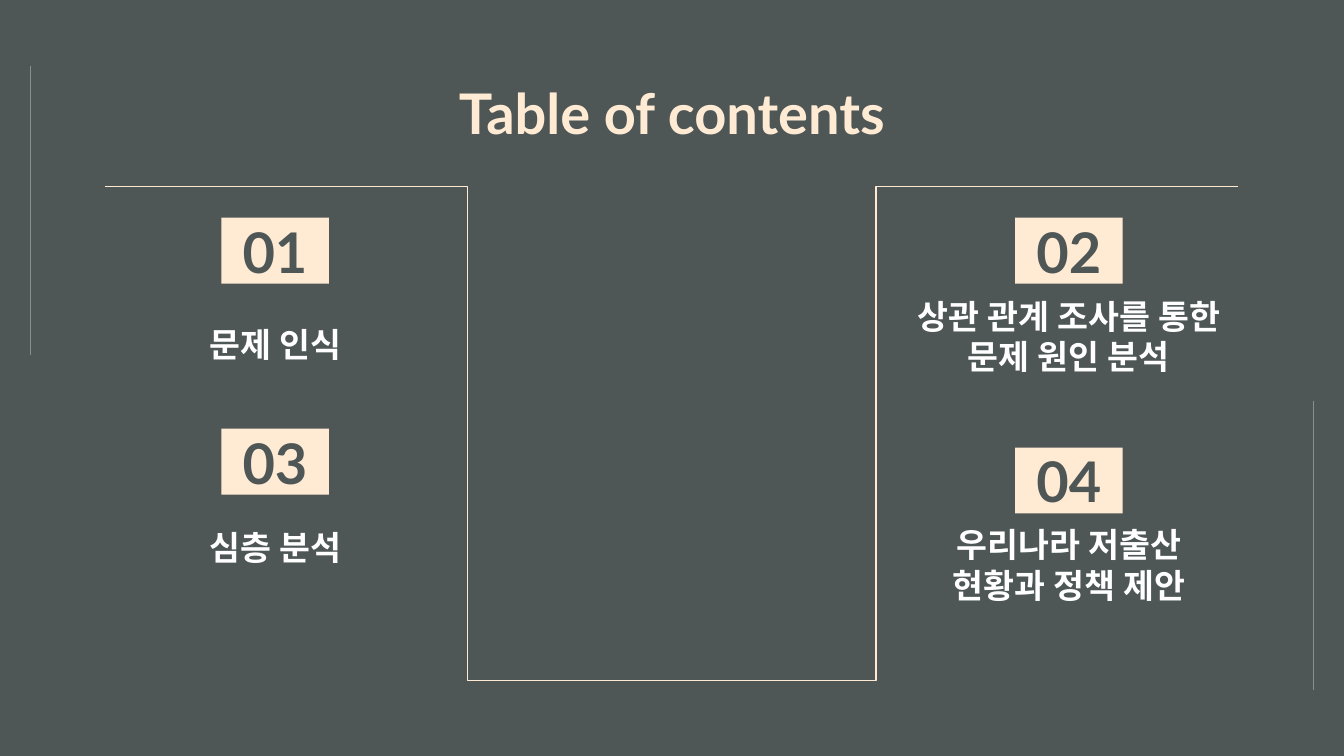
from lxml.etree import SubElement
from pptx import Presentation
from pptx.dml.color import RGBColor
from pptx.enum.shapes import MSO_CONNECTOR, MSO_SHAPE
from pptx.enum.text import MSO_ANCHOR, MSO_AUTO_SIZE, PP_ALIGN
from pptx.oxml.ns import qn
from pptx.util import Inches, Pt

CELL = Inches(0.1)
COLS, ROWS = 100, 56.25
FONT = "Lato"
SLATE = RGBColor(0x4E, 0x56, 0x56)
CREAM = RGBColor(0xFF, 0xEB, 0xD4)
SAGE = RGBColor(0x86, 0x91, 0x8E)
WHITE = RGBColor(0xFF, 0xFF, 0xFF)

LEFT, RIGHT = 7.87, 66.93
TOPICS = [
    ("01", "문제 인식", LEFT, 16.2, 23.1),
    ("02", "상관 관계 조사를 통한 문제 원인 분석", RIGHT, 16.2, 24),
    ("03", "심층 분석", LEFT, 31.9, 38.2),
    ("04", "우리나라 저출산 현황과 정책 제안", RIGHT, 33.3, 41),
]


def grid(*cells):
    """Turn grid cells into slide lengths."""
    return [round(cell * CELL) for cell in cells]


def write(shape, text, size=30, color=CREAM, anchor=MSO_ANCHOR.MIDDLE):
    """Put formatted, centred text in a shape."""
    frame = shape.text_frame
    frame.word_wrap = True
    frame.auto_size = MSO_AUTO_SIZE.NONE
    frame.vertical_anchor = anchor
    frame.margin_left = frame.margin_right = CELL
    frame.margin_top = frame.margin_bottom = CELL
    par = frame.paragraphs[0]
    par.alignment = PP_ALIGN.CENTER
    run = par.add_run()
    run.text = text
    font = run.font
    font.name, font.size, font.bold = FONT, Pt(size), True
    font.color.rgb = color
    SubElement(font._element, qn("a:ea"), typeface=FONT)


def line(slide, kind, start, end, color):
    """Draw a thin connector between two grid points."""
    link = slide.shapes.add_connector(kind, *grid(*start, *end))
    link.line.color.rgb = color
    link.line.width = Pt(0.75)
    SubElement(link._element.spPr, qn("a:effectLst"))


def head(slide, text):
    """Place the slide title."""
    title = slide.shapes.title
    title.left, title.top, title.width, title.height = grid(LEFT, 4.87, 84.26, 6.3)
    write(title, text, anchor=MSO_ANCHOR.TOP)


def topic(slide, mark, text, left, top, low):
    """Add a numbered badge and its label in one column."""
    wide, badge = 25.2, 8
    box = grid(left + (wide - badge) / 2, top, badge, 4.9)
    tile = slide.shapes.add_shape(MSO_SHAPE.RECTANGLE, *box)
    tile.shadow.inherit = False
    tile.fill.solid()
    tile.fill.fore_color.rgb = CREAM
    tile.line.fill.background()
    write(tile, mark, color=SLATE)
    label = slide.shapes.add_textbox(*grid(left, low, wide, 5))
    write(label, text, size=18, color=WHITE, anchor=MSO_ANCHOR.BOTTOM)


def main():
    """Build and save the contents slide."""
    deck = Presentation()
    deck.slide_width, deck.slide_height = grid(COLS, ROWS)
    slide = deck.slides.add_slide(deck.slide_layouts[5])
    slide.background.fill.solid()
    slide.background.fill.fore_color.rgb = SLATE
    for col, top in ((97.73, 29.85), (2.27, 4.9)):
        line(slide, MSO_CONNECTOR.STRAIGHT, (col, top), (col, top + 21.5), SAGE)
    head(slide, "Table of contents")
    for item in TOPICS:
        topic(slide, *item)
    for start, end in ((7.84, 61.7), (92.12, 38.23)):
        line(slide, MSO_CONNECTOR.ELBOW, (start, 13.88), (end, 50.62), CREAM)
    deck.save("out.pptx")


if __name__ == "__main__":
    main()
